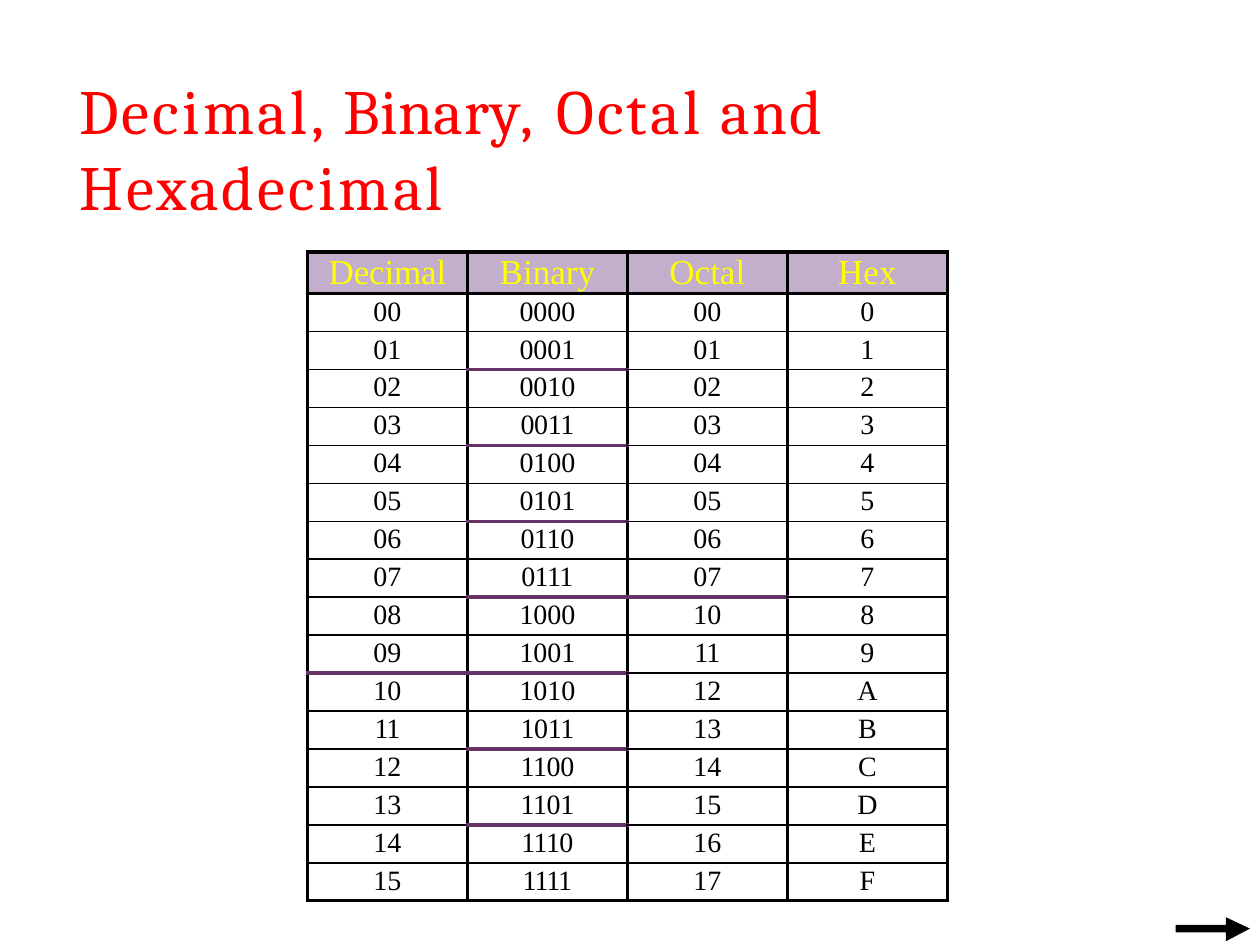
"""Build a slide with a table of decimal, binary, octal and hexadecimal numbers."""
from lxml.etree import SubElement
from pptx import Presentation
from pptx.dml.color import RGBColor
from pptx.enum.text import PP_ALIGN
from pptx.oxml.ns import qn
from pptx.util import Inches, Pt


def style_run(run, color, spacing, formats):
    for name, value in formats.items():
        setattr(run.font, name, value)
    run.font.color.rgb = RGBColor.from_string(color)
    run.font._element.set("spc", str(round(spacing * 100)))


def add_border(cell, side, color, width):
    line = SubElement(cell._tc.get_or_add_tcPr(), qn(f"a:ln{side}"), w=str(Pt(width)))
    fill = SubElement(line, qn("a:solidFill"))
    SubElement(fill, qn("a:srgbClr"), val=color)


BLACK, PURPLE = "000000", "663366"
TITLE_FORMAT = {"name": "Cambria", "size": Pt(36)}
HEADER_FORMAT = {"name": "Times New Roman", "size": Pt(20)}
BODY_FORMAT = {"name": "Times New Roman", "size": Pt(16)}
NO_MARGINS = {"margin_left": 0, "margin_right": 0, "margin_top": 0, "margin_bottom": 0}

presentation = Presentation()
presentation.slide_width, presentation.slide_height = Inches(10), Inches(7.5)
slide = presentation.slides.add_slide(presentation.slide_layouts[6])

title = slide.shapes.add_textbox(Inches(0.63), Inches(0.55), Inches(6.04), Inches(1.23))
title_frame = title.text_frame
for name, value in (NO_MARGINS | {"margin_top": Inches(0.02), "word_wrap": True}).items():
    setattr(title_frame, name, value)
title_parts = [
    ("Decimal, ", 1.9), ("Bina", 0.3), ("r", 0.8), ("y", -1.6), (", ", 3.1),
    ("Octal ", 1.8), ("and ", 1.1), ("Hexadecimal", 1.8),
]
for text, spacing in title_parts:
    run = title_frame.paragraphs[0].add_run()
    run.text = text
    style_run(run, "FF0000", spacing, TITLE_FORMAT)

columns = [("Decimal", 10, "02d"), ("Binary", 2, "04b"), ("Octal", 8, "02o"), ("Hex", 16, "X")]
tight_spacing = {
    "Decimal": -0.1, "0011": -0.2, "0110": -0.2, "0111": -0.3, "11": -0.6, "1011": -0.2,
    "1100": -0.2, "1101": -0.2, "1110": -0.3, "1111": -0.6,
}
count = 16
header_height, table_height = 0.33, 5.15
frame = slide.shapes.add_table(
    count + 1, len(columns), Inches(2.44), Inches(2), Inches(5.08), Inches(table_height)
)
table = frame.table
table.first_row = table.horz_banding = False
for row in table.rows:
    row.height = Inches((table_height - header_height) / count)
table.rows[0].height = Inches(header_height)

for column_index, (heading, base, number_format) in enumerate(columns):
    table.columns[column_index].width = Inches(1.27)
    edges = [(BLACK, 2.25), (BLACK, 2.25)]
    for number in range(1, count):
        edges.append((PURPLE, 2.25) if number % base == 0 else (BLACK, 1))
    edges.append((BLACK, 2.25))
    texts = [heading] + [format(number, number_format) for number in range(count)]
    for row_index, text in enumerate(texts):
        is_header = row_index == 0
        cell = table.cell(row_index, column_index)
        margins = NO_MARGINS | {"margin_top": 0 if is_header else Inches(0.02)}
        for name, value in margins.items():
            setattr(cell, name, value)
        add_border(cell, "L", BLACK, 2.25)
        add_border(cell, "R", BLACK, 2.25)
        add_border(cell, "T", *edges[row_index])
        add_border(cell, "B", *edges[row_index + 1])
        paragraph = cell.text_frame.paragraphs[0]
        paragraph.alignment = PP_ALIGN.CENTER
        run = paragraph.add_run()
        run.text = text
        spacing = tight_spacing.get(text, 0)
        if is_header:
            paragraph.line_spacing = Pt(23)
            cell.fill.solid()
            cell.fill.fore_color.rgb = RGBColor.from_string("C3AECC")
            style_run(run, "FFFF00", spacing, HEADER_FORMAT)
        else:
            cell.fill.background()
            style_run(run, BLACK, spacing, BODY_FORMAT)

arrow_points = [
    (9.33, 7.34), (9.73, 7.34), (9.73, 7.28), (9.92, 7.37),
    (9.73, 7.47), (9.73, 7.4), (9.33, 7.4),
]
arrow_corners = [(Inches(x), Inches(y)) for x, y in arrow_points]
builder = slide.shapes.build_freeform(*arrow_corners[0])
builder.add_line_segments(arrow_corners[1:], close=True)
arrow = builder.convert_to_shape()
arrow.shadow.inherit = False
arrow.fill.solid()
arrow.fill.fore_color.rgb = RGBColor.from_string(BLACK)
arrow.line.fill.background()

presentation.save("out.pptx")
